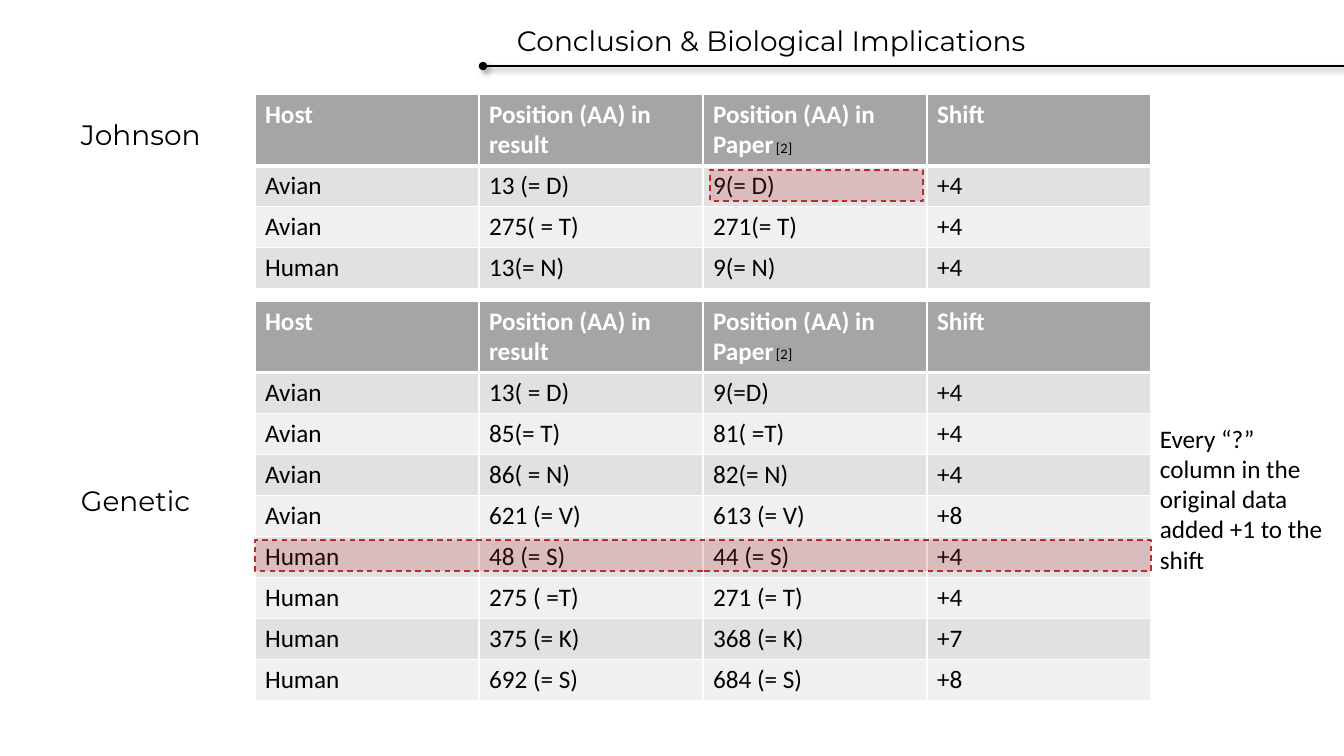
"""Build the conclusion slide comparing amino-acid positions in two tables."""
from lxml import etree
from pptx import Presentation
from pptx import util as u
from pptx.dml.color import RGBColor
from pptx.enum import dml, shapes, text
from pptx.oxml import parse_xml
from pptx.oxml.ns import nsdecls, qn

PX = 12192000 / 1344
THEME = {
    "ink": "000000", "paper": "FFFFFF", "header": "A5A5A5",
    "bands": ("E1E1E1", "F0F0F0"), "mark": "BD2B31",
    "heading": {"name": "Montserrat", "size": u.Pt(20)},
    "body": {"name": "Calibri", "size": u.Pt(18)},
}
HEADER = ("Host", "Position (AA) in result", "Position (AA) in Paper", "Shift")
JOHNSON = [
    ("Avian", "13 (= D)", "9(= D)", "+4"),
    ("Avian", "275( = T)", "271(= T)", "+4"),
    ("Human", "13(= N)", "9(= N)", "+4"),
]
GENETIC = [
    ("Avian", "13( = D)", "9(=D)", "+4"),
    ("Avian", "85(= T)", "81( =T)", "+4"),
    ("Avian", "86( = N)", "82(= N)", "+4"),
    ("Avian", "621 (= V)", "613 (= V)", "+8"),
    ("Human", "48 (= S)", "44 (= S)", "+4"),
    ("Human", "275 ( =T)", "271 (= T)", "+4"),
    ("Human", "375 (= K)", "368 (= K)", "+7"),
    ("Human", "692 (= S)", "684 (= S)", "+8"),
]


def px(*lengths):
    return [u.Emu(round(n * PX)) for n in lengths]


def write(tf, words, style, color, bold=False):
    r = tf.paragraphs[0].add_run()
    r.text = words
    for key, value in {**THEME[style], "bold": bold}.items():
        setattr(r.font, key, value)
    r.font.color.rgb = RGBColor.from_string(color)
    return r


prs = Presentation()
prs.slide_width, prs.slide_height = px(1344, 756)
s = prs.slides.add_slide(prs.slide_layouts[6])

rule = s.shapes.add_connector(shapes.MSO_CONNECTOR.STRAIGHT, *px(483, 66, 1344, 66))
rule.line.color.rgb = RGBColor.from_string(THEME["ink"])
rule.line.width = u.Pt(1.5)
etree.SubElement(rule.line._get_or_add_ln(), qn("a:headEnd"), type="oval")
rule._element.spPr.append(parse_xml(
    f'<a:effectLst {nsdecls("a")}><a:outerShdw blurRad="50800" dist="38100" dir="2700000">'
    f'<a:srgbClr val="{THEME["ink"]}"><a:alpha val="40000"/></a:srgbClr>'
    '</a:outerShdw></a:effectLst>'))

for top, height, records in ((94, 193, JOHNSON), (301, 397, GENETIC)):
    rows = [HEADER, *records]
    frame = s.shapes.add_table(len(rows), len(HEADER), *px(255, top, 896, height))
    table = frame.table
    for i, row in enumerate(rows):
        table.rows[i].height = px(41)[0]
        for j, words in enumerate(row):
            cell = table.cell(i, j)
            tcPr = cell._tc.get_or_add_tcPr()
            thick = {"T": i == 1, "B": i == 0}
            for side in "LRTB":
                width = u.Pt(3 if thick.get(side) else 1)
                tcPr.append(parse_xml(
                    f'<a:ln{side} {nsdecls("a")} w="{width}"><a:solidFill>'
                    f'<a:srgbClr val="{THEME["paper"]}"/></a:solidFill></a:ln{side}>'))
            fill = THEME["bands"][(i - 1) % 2] if i else THEME["header"]
            cell.fill.solid()
            cell.fill.fore_color.rgb = RGBColor.from_string(fill)
            write(cell.text_frame, words, "body", THEME["ink" if i else "paper"], i == 0)
    frame.height = px(height)[0]

LABELS = [
    ("Conclusion & Biological Implications", "heading", (507, 18, 785, 44), (5, 5)),
    ("Johnson", "heading", (71, 118, 147, 146), (39, 73)),
    ("Genetic", "heading", (71, 478, 209, 44), (5, 5)),
    ("Every “?” column in the original data added +1 to the shift", "body",
     (1150, 418, 194, 163), (5, 5)),
    ("[2]", "body", (766, 340, 677, 40), (5, 5)),
    ("[2]", "body", (766, 134, 677, 40), (5, 5)),
]
for words, style, box, insets in LABELS:
    tf = s.shapes.add_textbox(*px(*box)).text_frame
    tf.word_wrap = True
    tf.auto_size = text.MSO_AUTO_SIZE.SHAPE_TO_FIT_TEXT
    tf.margin_top, tf.margin_bottom = px(*insets)
    r = write(tf, words, style, THEME["ink"])
    if words == "[2]":
        r.font._element.set("baseline", "66000")

for box in ((255, 540, 896, 31), (710, 170, 213, 31)):
    sp = s.shapes.add_shape(shapes.MSO_SHAPE.RECTANGLE, *px(*box))
    sp.shadow.inherit = False
    sp.fill.solid()
    sp.fill.fore_color.rgb = sp.line.color.rgb = RGBColor.from_string(THEME["mark"])
    tint = sp._element.spPr.find(qn("a:solidFill")).find(qn("a:srgbClr"))
    etree.SubElement(tint, qn("a:alpha"), val="20000")
    sp.line.width = u.Pt(1)
    sp.line.dash_style = dml.MSO_LINE.DASH

prs.save("out.pptx")
